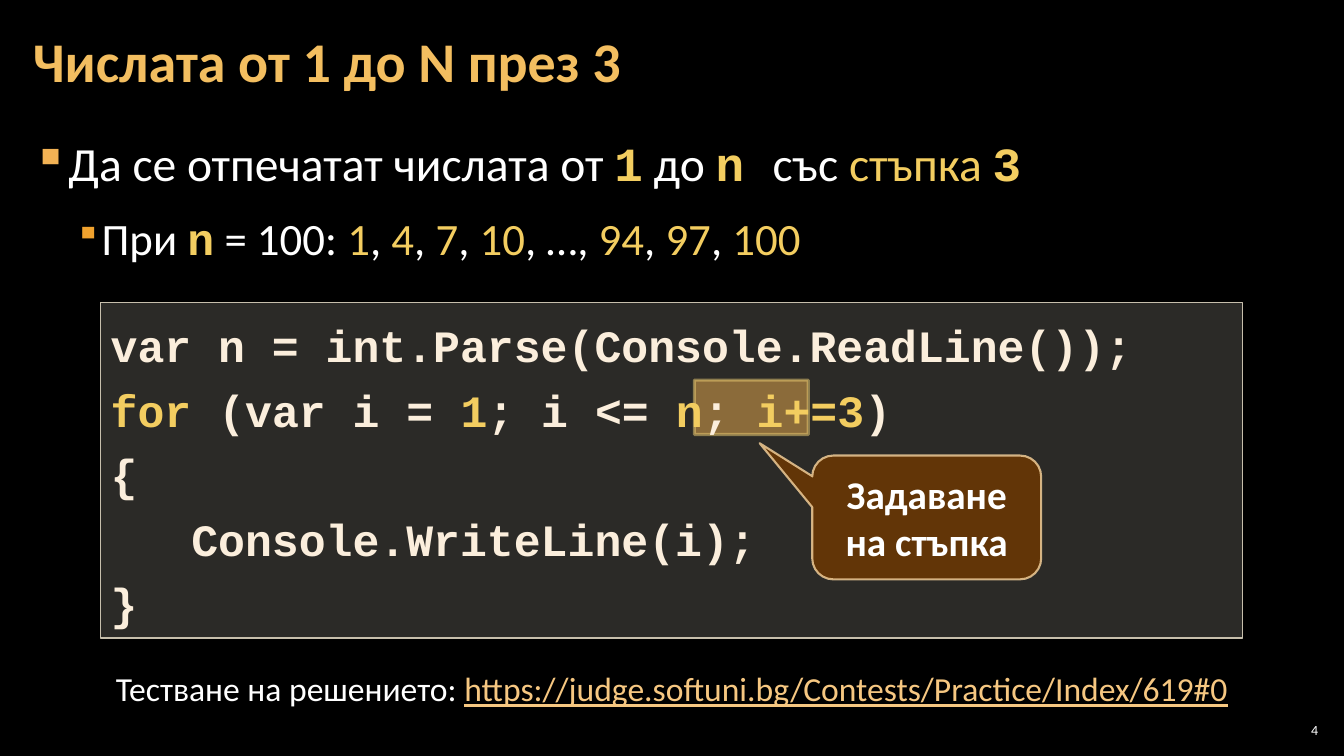
from dataclasses import dataclass
from typing import NamedTuple

from lxml import etree
from pptx import Presentation
from pptx import util as u
from pptx.dml import color
from pptx.enum import shapes, text
from pptx.oxml import ns


@dataclass(frozen=True)
class Theme:
    sans: str = "Calibri"
    mono: str = "Courier New"
    background: str = "000000"
    white: str = "FFFFFF"
    title: str = "F3BE60"
    accent: str = "F3CD60"
    bullet: str = "F2B254"
    orange: str = "F0A22E"
    code: str = "FBEEDC"
    code_fill: str = "D9D5C7"
    code_line: str = "C7BFAC"
    callout_fill: str = "663606"
    callout_line: str = "F8D49E"
    link: str = "F6C781"
    title_size: int = 40
    lead_size: int = 34
    detail_size: int = 32
    code_size: int = 32
    callout_size: int = 28
    link_size: int = 24
    number_size: int = 10


class Box(NamedTuple):
    left: float
    top: float
    width: float
    height: float

    def inside(self, left, top, width, height):
        return Box(self.left + left, self.top + top, width, height)

    def lengths(self):
        return [u.Cm(value) for value in self]


THEME = Theme()


def rgb(value):
    return color.RGBColor.from_string(value)


def set_font(font, size=None, name=None, ink=None, bold=None):
    if size:
        font.size = u.Pt(size)
    if name:
        font.name = name
    if ink:
        font.color.rgb = rgb(ink)
    if bold is not None:
        font.bold = bold


def add_runs(paragraph, pieces):
    for words, style in pieces:
        run = paragraph.add_run()
        run.text = words
        set_font(run.font, **style)


def set_opacity(fill, percent):
    for tint in fill._xPr.iter(ns.qn("a:srgbClr")):
        etree.SubElement(tint, ns.qn("a:alpha"), val=str(percent * 1000))


def add_panel(slide, kind, box, fill, opacity, line, width, line_opacity=100):
    panel = slide.shapes.add_shape(kind, *box.lengths())
    panel.shadow.inherit = False
    panel.fill.solid()
    panel.fill.fore_color.rgb = rgb(fill)
    set_opacity(panel.fill, opacity)
    panel.line.width = u.Pt(width)
    panel.line.fill.solid()
    panel.line.fill.fore_color.rgb = rgb(line)
    set_opacity(panel.line.fill, line_opacity)
    return panel


def add_text(slide, box, side=0.25, edge=0.13, anchor=text.MSO_ANCHOR.TOP):
    frame = slide.shapes.add_textbox(*box.lengths()).text_frame
    frame.word_wrap = True
    frame.vertical_anchor = anchor
    frame.margin_left = frame.margin_right = u.Cm(side)
    frame.margin_top = frame.margin_bottom = u.Cm(edge)
    return frame


def add_bullet(paragraph, left, hanging, ink, percent):
    props = paragraph._p.get_or_add_pPr()
    props.set("marL", str(u.Cm(left)))
    props.set("indent", str(-u.Cm(hanging)))
    tint = etree.SubElement(props, ns.qn("a:buClr"))
    etree.SubElement(tint, ns.qn("a:srgbClr"), val=ink)
    etree.SubElement(props, ns.qn("a:buSzPct"), val=str(percent * 1000))
    etree.SubElement(props, ns.qn("a:buChar"), char="▪")


def draw_title(slide, box):
    frame = add_text(slide, box, 0.3, 0.1, text.MSO_ANCHOR.MIDDLE)
    heading = frame.paragraphs[0]
    heading.text = "Числата от 1 до N през 3"
    heading.line_spacing = 0.9
    set_font(heading.font, THEME.title_size, THEME.sans, THEME.title, True)


def draw_task(slide, box):
    plain = dict(name=THEME.sans, ink=THEME.white)
    value = dict(name=THEME.sans, ink=THEME.accent)
    symbol = dict(name=THEME.mono, ink=THEME.accent, bold=True)
    frame = add_text(slide, box, 0.3, 0.1)

    lead = frame.paragraphs[0]
    add_bullet(lead, 0.84, 0.84, THEME.bullet, 100)
    set_font(lead.font, THEME.lead_size)
    add_runs(lead, [("Да се отпечатат числата от ", plain), ("1", symbol),
                    (" до ", plain), ("n ", symbol), ("със ", plain),
                    ("стъпка ", value), ("3", symbol)])

    example = frame.add_paragraph()
    example.level = 1
    example.space_before = u.Pt(6)
    add_bullet(example, 1.7, 0.64, THEME.orange, 80)
    set_font(example.font, THEME.detail_size)
    add_runs(example, [("При ", plain), ("n", symbol), (" = 100: ", plain)])
    for number in (1, 4, 7, 10, 94, 97, 100):
        add_runs(example, [(str(number), value)])
        if number < 100:
            add_runs(example, [(", …, " if number == 10 else ", ", plain)])

    for paragraph in frame.paragraphs:
        paragraph.line_spacing = 1.05
        paragraph.space_after = u.Pt(6)


def draw_code(slide, box):
    add_panel(slide, shapes.MSO_SHAPE.RECTANGLE, box.inside(14.96, 1.96, 2.87, 1.37),
              THEME.orange, 50, THEME.accent, 2.25, 50)

    listing = add_panel(slide, shapes.MSO_SHAPE.RECTANGLE, box,
                        THEME.code_fill, 20, THEME.code_line, 1).text_frame
    listing.word_wrap = True
    listing.vertical_anchor = text.MSO_ANCHOR.TOP
    listing.auto_size = text.MSO_AUTO_SIZE.SHAPE_TO_FIT_TEXT
    plain, key = dict(ink=THEME.code), dict(ink=THEME.accent)
    lines = [
        [("var n = int.Parse(Console.ReadLine());", plain)],
        [("for", key), (" (var i = ", plain), ("1", key), ("; i <= ", plain),
         ("n", key), ("; ", plain), ("i+=3", key), (")", plain)],
        [("{", plain)],
        [("   Console.WriteLine(i);", plain)],
        [("}", plain)],
    ]
    for index, pieces in enumerate(lines):
        line = listing.add_paragraph() if index else listing.paragraphs[0]
        line.alignment = text.PP_ALIGN.LEFT
        line.line_spacing = 1.2
        set_font(line.font, THEME.code_size, THEME.mono, bold=True)
        add_runs(line, pieces)

    callout = add_panel(slide, shapes.MSO_SHAPE.ROUNDED_RECTANGULAR_CALLOUT,
                        box.inside(17.93, 3.86, 5.77, 3.12),
                        THEME.callout_fill, 95, THEME.callout_line, 1.5, 80)
    for index, amount in enumerate((-0.73, -0.6, 0.17)):
        callout.adjustments[index] = amount
    callout.text_frame.word_wrap = True
    callout.text_frame.vertical_anchor = text.MSO_ANCHOR.MIDDLE
    note = callout.text_frame.paragraphs[0]
    note.text = "Задаване на стъпка"
    note.alignment = text.PP_ALIGN.CENTER
    set_font(note.font, THEME.callout_size, THEME.sans, THEME.white, True)


def draw_judge_link(slide, box):
    frame = add_text(slide, box)
    frame.auto_size = text.MSO_AUTO_SIZE.SHAPE_TO_FIT_TEXT
    judge = frame.paragraphs[0]
    judge.alignment = text.PP_ALIGN.CENTER
    set_font(judge.font, THEME.link_size, THEME.sans)
    add_runs(judge, [("Тестване на решението: ", dict(ink=THEME.white)),
                     ("https://judge.softuni.bg/Contests/Practice/Index/619#0",
                      dict(ink=THEME.link))])
    judge.runs[-1].font.underline = True


def draw_page_number(slide, box):
    number = add_text(slide, box, 0.1, 0.1, text.MSO_ANCHOR.MIDDLE).paragraphs[0]
    number.text = "4"
    number.alignment = text.PP_ALIGN.RIGHT
    set_font(number.font, THEME.number_size, THEME.sans, THEME.white)


def main():
    deck = Presentation()
    deck.slide_width, deck.slide_height = u.Cm(33.87), u.Cm(19.05)
    slide = deck.slides.add_slide(deck.slide_layouts[6])
    slide.background.fill.solid()
    slide.background.fill.fore_color.rgb = rgb(THEME.background)
    draw_title(slide, Box(0.53, 0.1, 26.59, 3.07))
    draw_task(slide, Box(0.53, 3.2, 32.79, 15.47))
    draw_code(slide, Box(2.54, 7.62, 28.78, 8.46))
    draw_judge_link(slide, Box(2.11, 16.71, 29.64, 1.27))
    draw_page_number(slide, Box(32.13, 18.14, 1.19, 0.53))
    deck.save("out.pptx")


if __name__ == "__main__":
    main()
